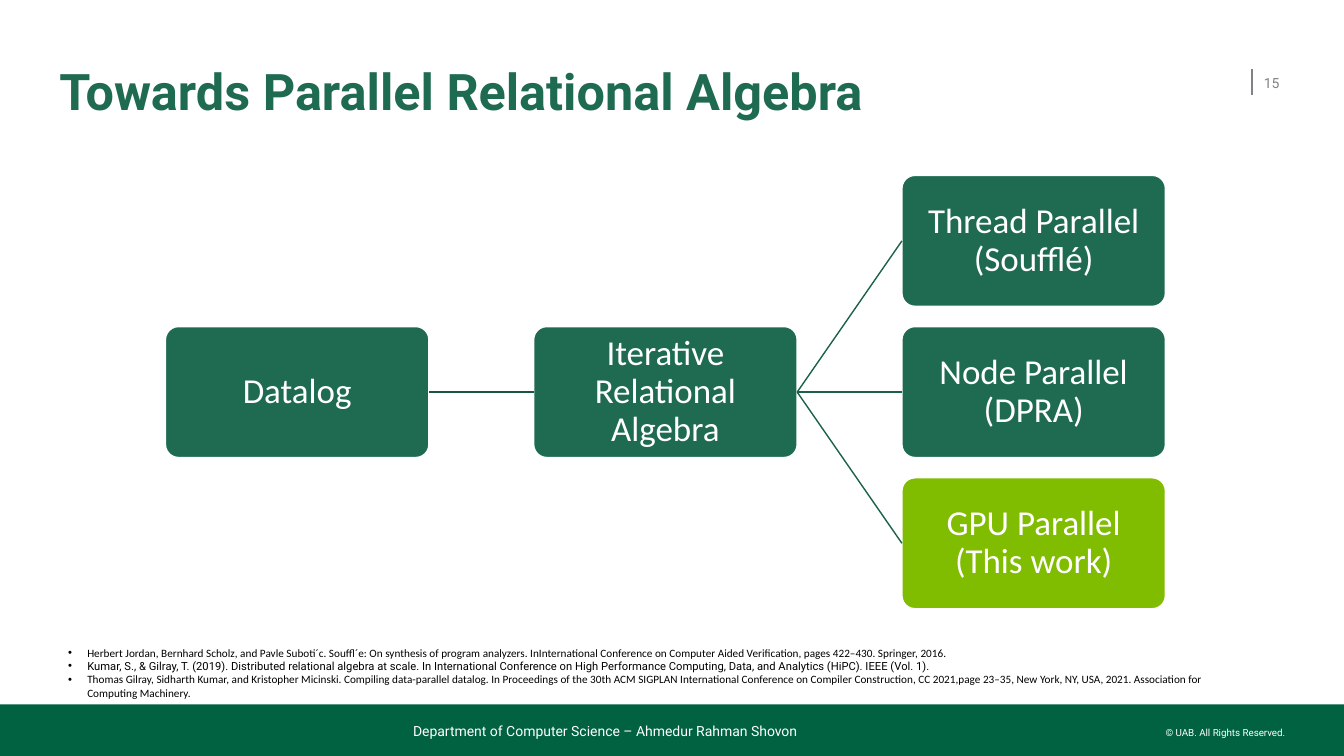
from lxml import etree
from pptx import Presentation
from pptx.dml.color import RGBColor
from pptx.enum.shapes import MSO_CONNECTOR, MSO_SHAPE
from pptx.enum.text import MSO_ANCHOR, PP_ALIGN
from pptx.oxml.ns import qn
from pptx.util import Cm, Pt

ROUNDED, RECT = MSO_SHAPE.ROUNDED_RECTANGLE, MSO_SHAPE.RECTANGLE
STRAIGHT = MSO_CONNECTOR.STRAIGHT
TOP, MIDDLE, BOTTOM = MSO_ANCHOR.TOP, MSO_ANCHOR.MIDDLE, MSO_ANCHOR.BOTTOM
LEFT, CENTER, RIGHT = PP_ALIGN.LEFT, PP_ALIGN.CENTER, PP_ALIGN.RIGHT
LEFT_SIDE, RIGHT_SIDE = 1, 3

GREEN = RGBColor(0x1E, 0x6B, 0x51)
LIME = RGBColor(0x80, 0xBC, 0x00)
FOOTER_GREEN = RGBColor(0x00, 0x62, 0x41)
FIRST_LINK = RGBColor(0x18, 0x56, 0x41)
BRANCH_LINK = RGBColor(0x1B, 0x61, 0x4A)
GRAY = RGBColor(0x80, 0x82, 0x85)
WHITE = RGBColor(0xFF, 0xFF, 0xFF)
BLACK = RGBColor(0x00, 0x00, 0x00)

SLIDE_W, SLIDE_H = 33.87, 19.05
FOOTER_H = 1.3

# Diagram grid in centimetres: three columns, three rows
NODE_W, NODE_H = 6.64, 3.3
GRID_X, GRID_Y = 4.17, 4.42
COL_STEP, ROW_STEP = 9.28, 3.81

BRANCHES = [
    ("Thread Parallel\n(Soufflé)", GREEN),
    ("Node Parallel\n(DPRA)", GREEN),
    ("GPU Parallel\n(This work)", LIME),
]
REFERENCES = [
    ("Herbert Jordan, Bernhard Scholz, and Pavle Suboti´c. Souffl´e: On synthesis of "
     "program analyzers. InInternational Conference on Computer Aided Verification, "
     "pages 422–430. Springer, 2016.", "Calibri"),
    ("Kumar, S., & Gilray, T. (2019). Distributed relational algebra at scale. In "
     "International Conference on High Performance Computing, Data, and Analytics "
     "(HiPC). IEEE (Vol. 1).", "Roboto"),
    ("Thomas Gilray, Sidharth Kumar, and Kristopher Micinski. Compiling data-parallel "
     "datalog. In Proceedings of the 30th ACM SIGPLAN International Conference on "
     "Compiler Construction, CC 2021,page 23–35, New York, NY, USA, 2021. Association "
     "for Computing Machinery.", "Calibri"),
]


def set_margins(tf, x, y):
    tf.margin_left = tf.margin_right = Cm(x)
    tf.margin_top = tf.margin_bottom = Cm(y)


def add_run(p, text, size, color, font="Roboto", bold=False):
    r = p.add_run()
    r.text = text
    r.font.name, r.font.size, r.font.bold = font, Pt(size), bold
    r.font.color.rgb = color


def add_label(s, box, text, size, color, anchor=MIDDLE, align=LEFT, bold=False, wrap=True):
    tf = s.shapes.add_textbox(*map(Cm, box)).text_frame
    tf.word_wrap, tf.vertical_anchor = wrap, anchor
    set_margins(tf, 0, 0)
    p = tf.paragraphs[0]
    p.alignment = align
    add_run(p, text, size, color, bold=bold)
    return p


def add_filled(s, kind, box, fill):
    sp = s.shapes.add_shape(kind, *map(Cm, box))
    sp.shadow.inherit = False
    sp.fill.solid()
    sp.fill.fore_color.rgb = fill
    sp.line.fill.background()
    return sp


def add_node(s, col, row, text, fill=GREEN):
    box = (GRID_X + col * COL_STEP, GRID_Y + row * ROW_STEP, NODE_W, NODE_H)
    sp = add_filled(s, ROUNDED, box, fill)
    sp.adjustments[0] = 0.1
    sp.line.color.rgb = WHITE
    sp.line.width = Pt(1)
    tf = sp.text_frame
    tf.word_wrap, tf.vertical_anchor = True, MIDDLE
    set_margins(tf, 0.15, 0.15)
    p = tf.paragraphs[0]
    p.alignment, p.line_spacing = CENTER, 0.9
    for i, line in enumerate(text.split("\n")):
        if i:
            p.add_line_break()
        add_run(p, line, 25, WHITE, "Calibri")
    return sp


def add_line(s, color, x1=0, y1=0, x2=0, y2=0):
    line = s.shapes.add_connector(STRAIGHT, Cm(x1), Cm(y1), Cm(x2), Cm(y2))
    line.line.color.rgb = color
    line.line.width = Pt(1)
    etree.SubElement(line._element.spPr, qn("a:effectLst"))
    return line


def link(s, start, end, color):
    line = add_line(s, color)
    line.begin_connect(start, RIGHT_SIDE)
    line.end_connect(end, LEFT_SIDE)


def add_references(s, box):
    tf = s.shapes.add_textbox(*map(Cm, box)).text_frame
    tf.word_wrap, tf.vertical_anchor = True, TOP
    for i, (text, font) in enumerate(REFERENCES):
        p = tf.add_paragraph() if i else tf.paragraphs[0]
        pPr = p._p.get_or_add_pPr()
        pPr.set("marL", str(Cm(0.48)))
        pPr.set("indent", str(Cm(-0.48)))
        etree.SubElement(pPr, qn("a:buFont")).set("typeface", "Arial")
        etree.SubElement(pPr, qn("a:buChar")).set("char", "•")
        add_run(p, text, 8, BLACK, font)


def main():
    prs = Presentation()
    prs.slide_width, prs.slide_height = Cm(SLIDE_W), Cm(SLIDE_H)
    s = prs.slides.add_slide(prs.slide_layouts[6])

    # Footer band
    add_filled(s, RECT, (0, SLIDE_H - FOOTER_H, SLIDE_W, FOOTER_H), FOOTER_GREEN)
    add_label(s, (29.34, 18.31, 3.05, 0.3), "© UAB. All Rights Reserved.", 7, WHITE,
              anchor=TOP, align=RIGHT, wrap=False)
    add_label(s, (10.41, 18.06, 17.98, 0.58),
              "Department of Computer Science – Ahmedur Rahman Shovon", 10, WHITE,
              anchor=BOTTOM)

    # Title and page number
    title = add_label(s, (1.5, 1.32, 29.54, 2.13), "Towards Parallel Relational Algebra",
                      36, GREEN, bold=True)
    title.line_spacing = 0.9
    add_line(s, GRAY, 31.55, 1.73, 31.55, 2.39)
    add_label(s, (31.85, 1.57, 0.84, 1.02), "15", 10, GRAY)

    # Diagram
    datalog = add_node(s, 0, 1, "Datalog")
    algebra = add_node(s, 1, 1, "Iterative Relational Algebra")
    link(s, datalog, algebra, FIRST_LINK)
    for row, (text, fill) in enumerate(BRANCHES):
        link(s, algebra, add_node(s, 2, row, text, fill), BRANCH_LINK)

    # References
    add_references(s, (1.47, 16.15, 30.1, 1.63))

    prs.save("out.pptx")


if __name__ == "__main__":
    main()
